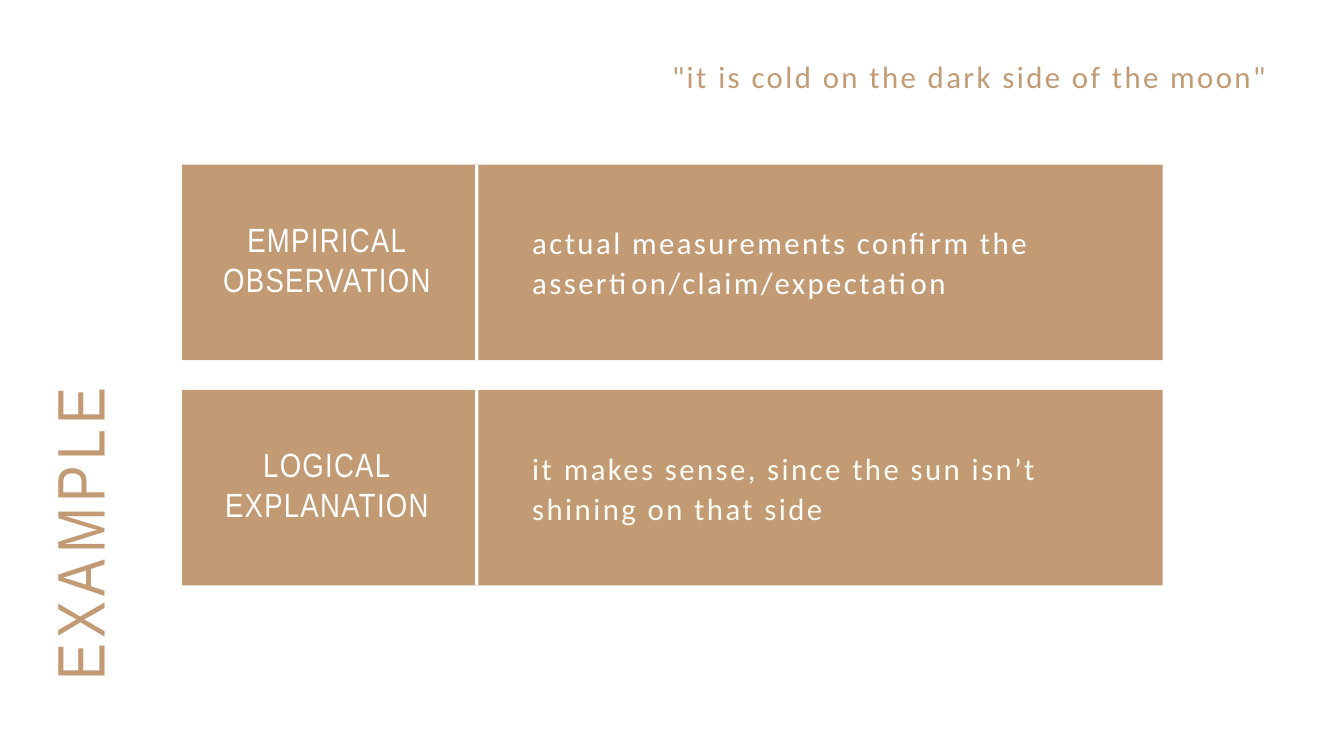
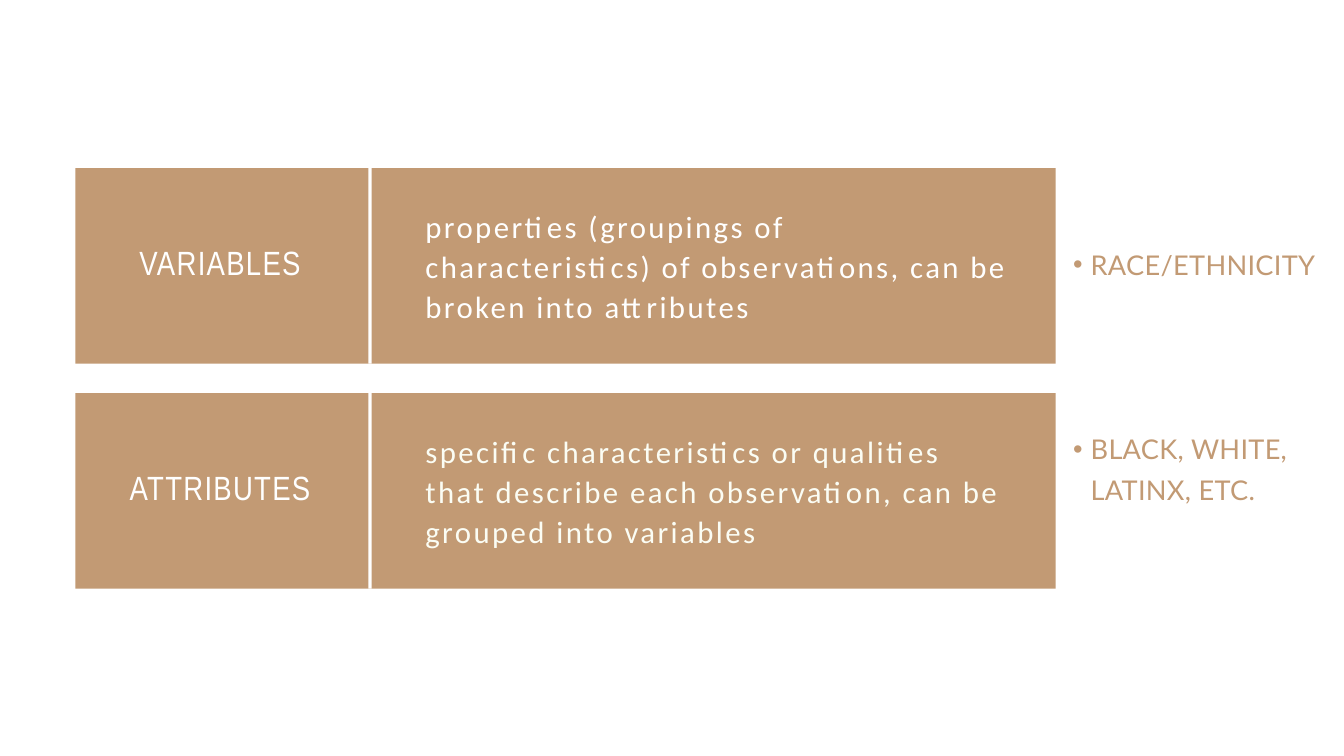
from dataclasses import dataclass

import lxml.etree
import pptx
import pptx.dml.color
import pptx.enum.shapes
import pptx.enum.text
import pptx.oxml.ns
import pptx.util

Align = pptx.enum.text.PP_ALIGN


@dataclass(frozen=True)
class TextStyle:
    font: str
    size: float
    leading: float
    tracking: float
    color: str
    align: Align = Align.LEFT

    def height(self, lines):
        return lines * self.leading / 72


@dataclass(frozen=True)
class Theme:
    tan: str = "C29A74"
    white: str = "FFFFFF"
    cream: str = "FBFDF4"
    title: TextStyle = TextStyle("Arial Narrow", 72, 93.6, 5.8, tan)
    label: TextStyle = TextStyle("Arial Narrow", 36, 43.2, 1.4, white, Align.CENTER)
    quote: TextStyle = TextStyle("Calibri", 33, 42.9, 2.6, tan)
    first_text: TextStyle = TextStyle("Calibri", 33, 42.9, 2.6, white)
    second_text: TextStyle = TextStyle("Calibri", 33, 42.9, 2.6, cream)
    bullet: TextStyle = TextStyle("Lato", 29.1, 43.6, 0.3, tan)


THEME = Theme()
SLIDE_WIDTH = pptx.util.Inches(20)
SLIDE_HEIGHT = pptx.util.Inches(11.25)
COLUMN = SLIDE_WIDTH / 20
ROW = SLIDE_HEIGHT / 11.25

CARD_WIDTH, CARD_HEIGHT, CARD_STEP = 14.59, 2.91, 3.35
LABEL_INSET, LABEL_WIDTH = 0.58, 3.15
RULE_INSET, RULE_WIDTH = 4.36, 0.05
TEXT_INSET, TEXT_WIDTH = 5.21, 8.68


def area(column, row, columns, rows):
    return tuple(round(length) for length in
                 (column * COLUMN, row * ROW, columns * COLUMN, rows * ROW))


def rgb(color):
    return pptx.dml.color.RGBColor.from_string(color)


def add_bullet(paragraph):
    paragraph.level = 1
    properties = paragraph._p.get_or_add_pPr()
    properties.set("marL", str(pptx.util.Inches(0.52)))
    properties.set("indent", str(pptx.util.Inches(-0.26)))
    bullet = lxml.etree.SubElement(properties, pptx.oxml.ns.qn("a:buChar"))
    bullet.set("char", "•")


def write(box, text, style, bulleted=False):
    frame = box.text_frame
    frame.word_wrap = True
    frame.auto_size = pptx.enum.text.MSO_AUTO_SIZE.NONE
    frame.vertical_anchor = pptx.enum.text.MSO_ANCHOR.TOP
    frame.margin_left = frame.margin_right = 0
    frame.margin_top = frame.margin_bottom = 0
    para = frame.paragraphs[0]
    if bulleted:
        add_bullet(para)
    para.alignment = style.align
    para.line_spacing = pptx.util.Pt(style.leading)
    para.space_before = pptx.util.Pt(0)
    span = para.add_run()
    span.text = text
    span.font.name = style.font
    span.font.size = pptx.util.Pt(style.size)
    span.font.color.rgb = rgb(style.color)
    span._r.get_or_add_rPr().set("spc", str(round(style.tracking * 100)))


def add_text(page, place, text, style):
    write(page.shapes.add_textbox(*area(*place)), text, style)


def fill_placeholder(holder, place, text, style, bulleted=False):
    holder.left, holder.top, holder.width, holder.height = area(*place)
    write(holder, text, style, bulleted)


def add_block(group, place, color):
    block = group.shapes.add_shape(
        pptx.enum.shapes.MSO_SHAPE.RECTANGLE, *area(*place))
    block.shadow.inherit = False
    block.fill.solid()
    block.fill.fore_color.rgb = rgb(color)
    block.line.fill.background()


def add_card(page, left, top, label, text, style, label_lines, text_lines):
    group = page.shapes.add_group_shape()
    add_block(group, (left, top, CARD_WIDTH, CARD_HEIGHT), THEME.tan)
    add_block(group, (left + RULE_INSET, top, RULE_WIDTH, CARD_HEIGHT), THEME.white)
    middle = top + CARD_HEIGHT / 2
    label_height = THEME.label.height(label_lines)
    text_height = style.height(text_lines)
    add_text(page, (left + LABEL_INSET, middle - 0.05 - label_height / 2,
                    LABEL_WIDTH, label_height), label, THEME.label)
    add_text(page, (left + TEXT_INSET, middle - 0.02 - text_height / 2,
                    TEXT_WIDTH, text_height), text, style)


def add_cards(page, left, top, cards, label_lines, text_lines):
    styles = (THEME.first_text, THEME.second_text)
    for index, ((label, text), style) in enumerate(zip(cards, styles)):
        add_card(page, left, top + index * CARD_STEP, label, text, style,
                 label_lines, text_lines)


def build_example(deck):
    page = deck.slides.add_slide(deck.slide_layouts.get_by_name("Title Only"))
    add_cards(page, 2.71, 2.45, [
        ("EMPIRICAL OBSERVATION",
         "actual measurements confirm the assertion/claim/expectation"),
        ("LOGICAL EXPLANATION",
         "it makes sense, since the sun isn’t shining on that side"),
    ], label_lines=2, text_lines=2)
    title = page.shapes.title
    fill_placeholder(title, (-2.45, 5.95, 7.08, 1.27), "EXAMPLE", THEME.title)
    title.rotation = 270
    add_text(page, (10, 0.82, 8.89, 0.58),
             '"it is cold on the dark side of the moon"', THEME.quote)


def build_variables(deck):
    page = deck.slides.add_slide(deck.slide_layouts.get_by_name("Two Content"))
    title = page.shapes.title._element
    title.getparent().remove(title)
    left = 1.12
    add_cards(page, left, 2.5, [
        ("VARIABLES",
         "properties (groupings of characteristics) of observations, "
         "can be broken into attributes"),
        ("ATTRIBUTES",
         "specific characteristics or qualities that describe each "
         "observation, can be grouped into variables"),
    ], label_lines=1, text_lines=3)
    examples = [("RACE/ETHNICITY", 3.57, 1), ("BLACK, WHITE, LATINX, ETC.", 6.32, 2)]
    list_left = left + CARD_WIDTH
    for holder, (text, top, lines) in zip(page.placeholders, examples):
        place = (list_left, top, 20 - list_left, THEME.bullet.height(lines))
        fill_placeholder(holder, place, text, THEME.bullet, bulleted=True)


def main():
    deck = pptx.Presentation()
    deck.slide_width, deck.slide_height = SLIDE_WIDTH, SLIDE_HEIGHT
    build_example(deck)
    build_variables(deck)
    deck.save("out.pptx")


if __name__ == "__main__":
    main()
